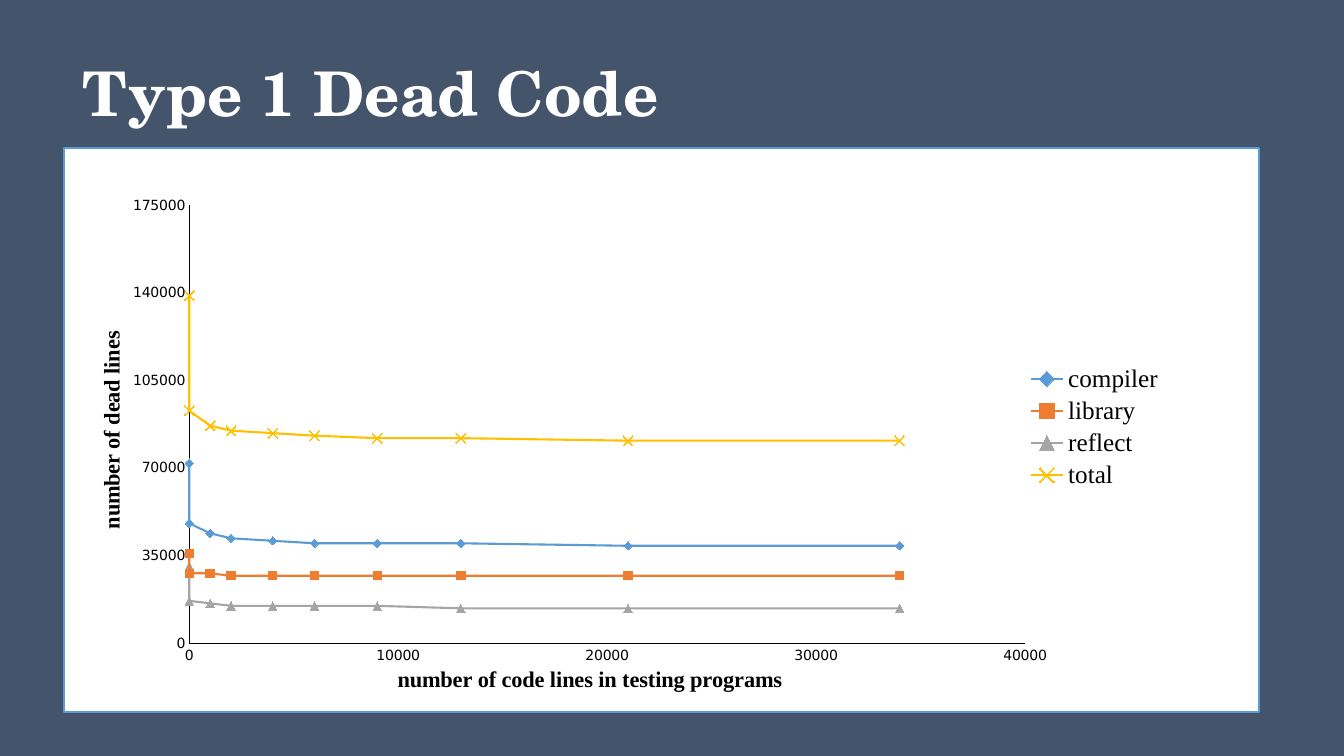
from pptx import Presentation
from pptx.chart.data import XyChartData
from pptx.dml.color import RGBColor
from pptx.enum.chart import XL_CHART_TYPE, XL_LEGEND_POSITION, XL_MARKER_STYLE, XL_TICK_MARK
from pptx.enum.shapes import MSO_SHAPE
from pptx.enum.text import MSO_ANCHOR, PP_ALIGN
from pptx.oxml import parse_xml
from pptx.oxml.ns import nsdecls
from pptx.util import Pt

PX = 12192000 / 1344
COLORS = {
    "slate": "44546A", "white": "FFFFFF", "black": "000000", "blue": "5B9BD5",
    "orange": "ED7D31", "gray": "A5A5A5", "gold": "FFC000",
}
CODE_LINES = [0, 0, 1000, 2000, 4000, 6000, 9000, 13000, 21000, 34000]
DEAD_LINES = {
    "compiler": [72000, 48000, 44000, 42000, 41000, 40000, 40000, 40000, 39000, 39000],
    "library": [36000, 28000, 28000, 27000, 27000, 27000, 27000, 27000, 27000, 27000],
    "reflect": [31000, 17000, 16000, 15000, 15000, 15000, 15000, 14000, 14000, 14000],
    "total": [139000, 93000, 87000, 85000, 84000, 83000, 82000, 82000, 81000, 81000],
}
SERIES_STYLES = [
    ("blue", XL_MARKER_STYLE.DIAMOND, 6),
    ("orange", XL_MARKER_STYLE.SQUARE, 6),
    ("gray", XL_MARKER_STYLE.TRIANGLE, 6),
    ("gold", XL_MARKER_STYLE.X, 7),
]


def px(*lengths):
    """Turn pixel lengths into EMU."""
    return [round(length * PX) for length in lengths]


def rgb(color):
    """Look up a named colour."""
    return RGBColor.from_string(COLORS[color])


def set_font(font, size, name, color="black", bold=False):
    """Format a font."""
    font.size, font.name, font.bold = Pt(size), name, bold
    font.color.rgb = rgb(color)


def write(frame, text, align=None, spacing=None, **style):
    """Put formatted text into a text frame."""
    paragraph = frame.paragraphs[0]
    paragraph.alignment, paragraph.line_spacing = align, spacing
    run = paragraph.add_run()
    run.text = text
    set_font(run.font, **style)


def set_line(line, color, width=1):
    """Format a line."""
    line.color.rgb = rgb(color)
    line.width = Pt(width)


def place(part, index, target, x, y, w, h):
    """Fix the place of a chart part by fractions of the chart."""
    for layout in part.xpath("c:layout"):
        part.remove(layout)
    part.insert(index, parse_xml(
        f'<c:layout {nsdecls("c")}><c:manualLayout>{target}'
        '<c:xMode val="edge"/><c:yMode val="edge"/>'
        f'<c:x val="{x}"/><c:y val="{y}"/><c:w val="{w}"/><c:h val="{h}"/>'
        '</c:manualLayout></c:layout>'))


class SlideBuilder:
    """Hold the style and the current slide."""

    heading_font = "TeX Gyre Schola"
    label_font = "Times New Roman"
    tick_font = "DejaVu Sans"
    chart_font = "Roboto"

    def __init__(self, deck):
        """Add a slide with the dark background."""
        self.slide = deck.slides.add_slide(deck.slide_layouts[5])
        self.slide.background.fill.solid()
        self.slide.background.fill.fore_color.rgb = rgb("slate")

    def title(self, text, *box):
        """Move and fill the title placeholder."""
        heading = self.slide.shapes.title
        heading.left, heading.top, heading.width, heading.height = px(*box)
        frame = heading.text_frame
        frame.word_wrap, frame.vertical_anchor = True, MSO_ANCHOR.MIDDLE
        (frame.margin_left, frame.margin_top,
         frame.margin_right, frame.margin_bottom) = px(5, 5, 5, 5)
        write(frame, text, PP_ALIGN.LEFT, 0.9, size=44, name=self.heading_font,
              color="white", bold=True)

    def panel(self, *box):
        """Add the white panel behind the title."""
        backdrop = self.slide.shapes.add_shape(MSO_SHAPE.RECTANGLE, *px(*box))
        backdrop.shadow.inherit = False
        backdrop.fill.solid()
        backdrop.fill.fore_color.rgb = rgb("white")
        set_line(backdrop.line, "blue")
        self.slide.shapes.title.element.addprevious(backdrop.element)

    def axis(self, axis, text, maximum, step):
        """Format an axis and its title."""
        axis.minimum_scale, axis.maximum_scale, axis.major_unit = 0, maximum, step
        axis.major_tick_mark = axis.minor_tick_mark = XL_TICK_MARK.NONE
        axis.tick_labels.number_format = "0"
        axis.tick_labels.number_format_is_linked = False
        set_font(axis.tick_labels.font, 10, self.tick_font)
        set_line(axis.format.line, "black")
        write(axis.axis_title.text_frame, text, size=16, name=self.label_font, bold=True)

    def scatter(self, *box):
        """Add the chart of dead lines by code lines."""
        data = XyChartData()
        for name, counts in DEAD_LINES.items():
            series = data.add_series(name)
            for code, dead in zip(CODE_LINES, counts):
                series.add_data_point(code, dead)
        chart = self.slide.shapes.add_chart(
            XL_CHART_TYPE.XY_SCATTER_SMOOTH, *px(*box), data).chart
        chart.has_title = False
        set_font(chart.font, 10, self.chart_font)
        chart.plots[0].vary_by_categories = False
        for series, (color, marker, size) in zip(chart.plots[0].series, SERIES_STYLES):
            series.smooth = True
            set_line(series.format.line, color, 1.5)
            series.marker.style, series.marker.size = marker, size
            series.marker.format.fill.solid()
            series.marker.format.fill.fore_color.rgb = rgb(color)
            set_line(series.marker.format.line, color)
        self.axis(chart.category_axis, "number of code lines in testing programs", 40000, 10000)
        self.axis(chart.value_axis, "number of dead lines", 175000, 35000)
        chart.category_axis.has_major_gridlines = False
        chart.value_axis.has_major_gridlines = True
        set_line(chart.value_axis.major_gridlines.format.line, "white")
        turned = chart.element.xpath(".//c:valAx[c:axPos/@val='l']/c:title//a:bodyPr")[0]
        turned.set("rot", "-5400000")
        turned.set("vert", "horz")
        chart.has_legend = True
        chart.legend.position = XL_LEGEND_POSITION.RIGHT
        chart.legend.include_in_layout = True
        set_font(chart.legend.font, 18, self.label_font)
        place(chart.element.xpath(".//c:plotArea")[0], 0,
              '<c:layoutTarget val="inner"/>', 0.086, 0.038, 0.747, 0.854)
        place(chart.element.xpath(".//c:legend")[0], 1, "", 0.83, 0.34, 0.13, 0.26)


def main():
    """Build and save the slide."""
    deck = Presentation()
    deck.slide_width, deck.slide_height = px(1344, 756)
    builder = SlideBuilder(deck)
    builder.title("Type 1 Dead Code", 78, 24, 1159, 146)
    builder.panel(64, 148, 1195, 564)
    builder.scatter(93, 186, 1119, 513)
    deck.save("out.pptx")


if __name__ == "__main__":
    main()
